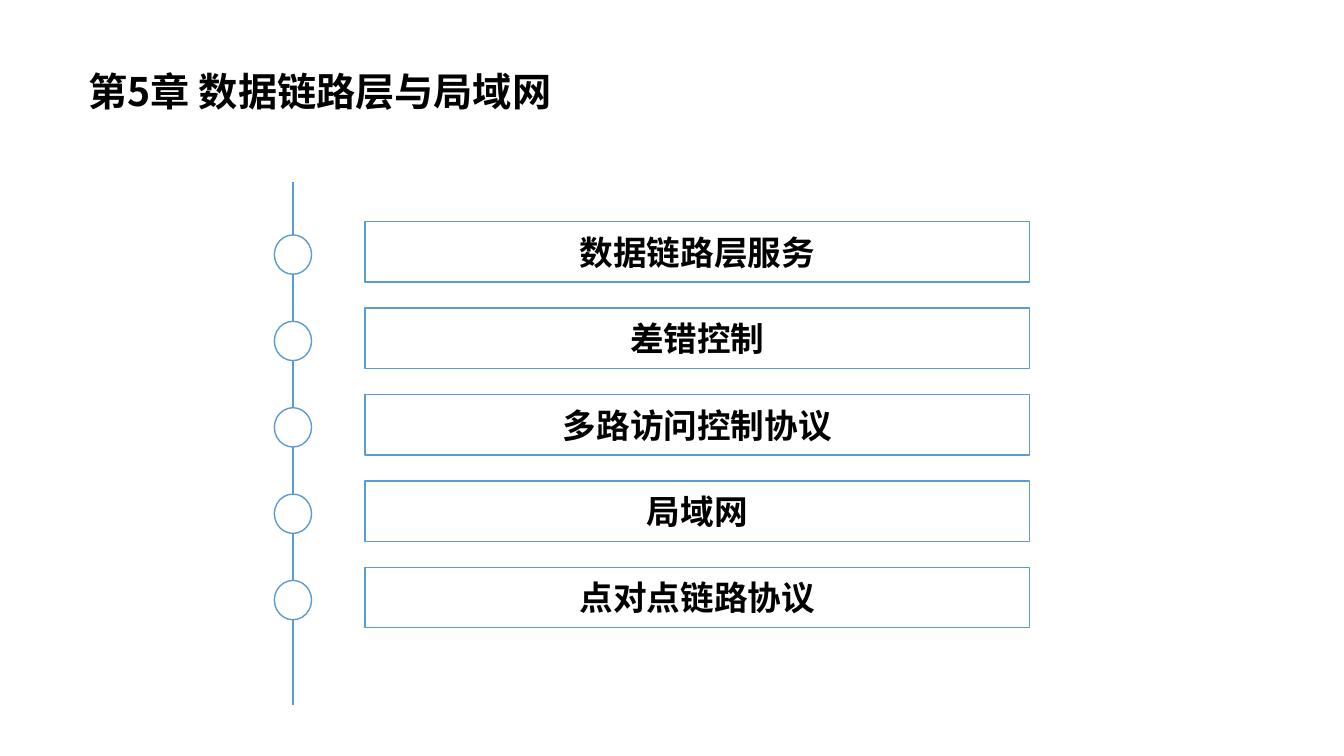
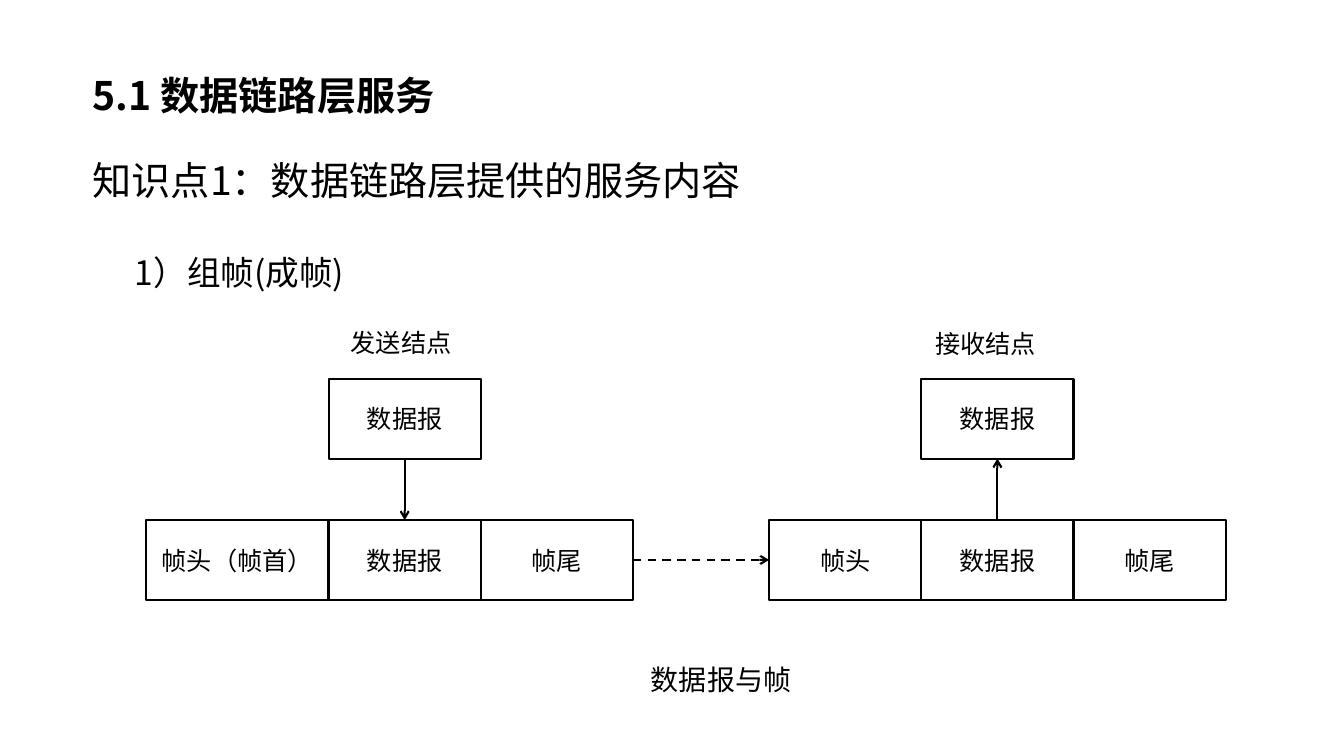
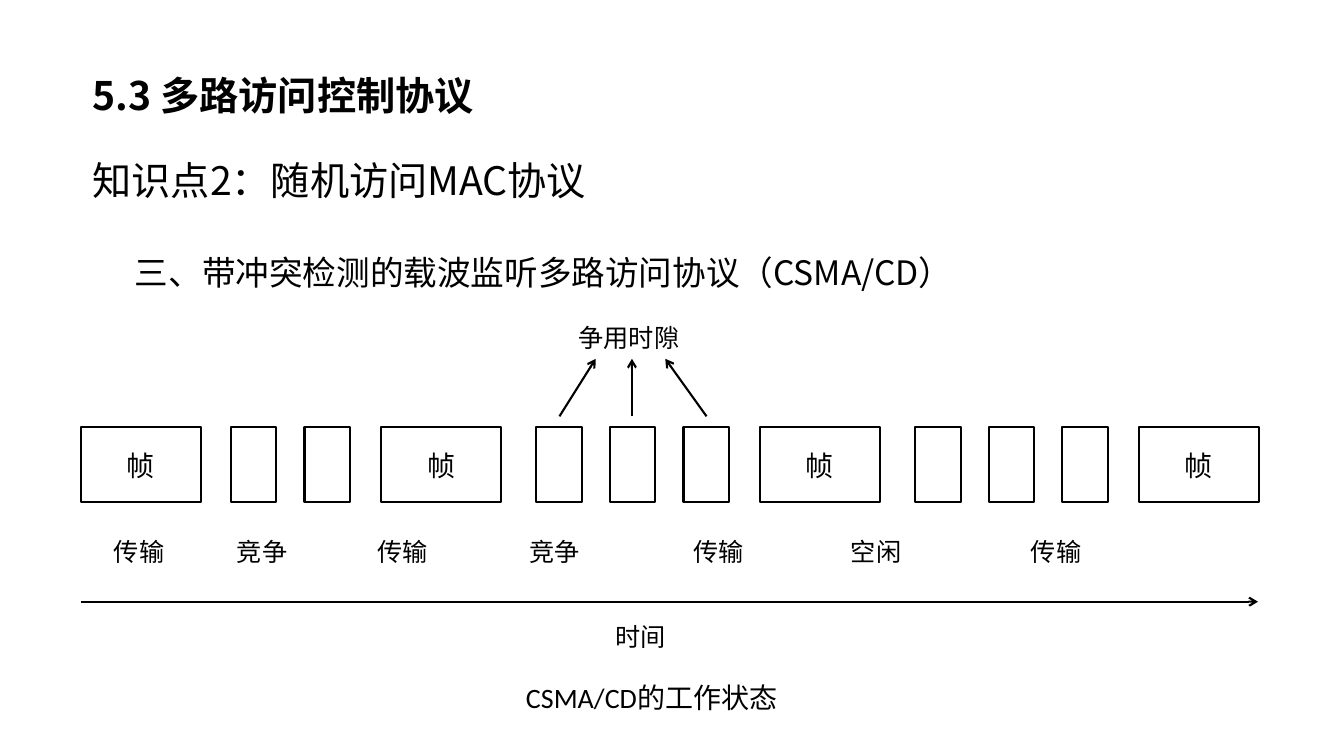
import pptx
import pptx.dml.color
import pptx.enum.dml
import pptx.enum.lang
import pptx.enum.shapes
import pptx.enum.text
import pptx.oxml.ns
import pptx.oxml.xmlchemy
import pptx.util

Pt = pptx.util.Pt
SHAPE = pptx.enum.shapes.MSO_SHAPE
ALIGN = pptx.enum.text.PP_ALIGN
ANCHOR = pptx.enum.text.MSO_ANCHOR

# Shared style
BLACK, WHITE, BLUE = "000000", "FFFFFF", "5B9BD5"
HEADING_FONT, DIAGRAM_FONT = "Noto Sans CJK SC", "Calibri"
INK = 1.5
WIDE_INSETS = (8.64, 4.32)

# Content
CHAPTER = "第5章 数据链路层与局域网"
TOPICS = ["数据链路层服务", "差错控制", "多路访问控制协议", "局域网", "点对点链路协议"]

FRAMING = ("5.1 数据链路层服务", "知识点1：数据链路层提供的服务内容", "1）组帧(成帧)")
DATAGRAM = "数据报"
# caption, caption left, caption top, frame left, header, header width, is sender
NODES = [
    ("发送结点", 243.4, 230.4, 104.4, "帧头（帧首）", 130.3, True),
    ("接收结点", 661, 231.1, 549.4, "帧头", 108.7, False),
]
TRAILER = "帧尾"
FRAMING_CAPTION = "数据报与帧"

RANDOM_ACCESS = ("5.3 多路访问控制协议", "知识点2：随机访问MAC协议",
                 "三、带冲突检测的载波监听多路访问协议（CSMA/CD）")
FRAME = "帧"
# frame left, contention slots before it
FRAMES = [(57.6, 0), (272.2, 2), (542.9, 3), (813.6, 3)]
# phase, distance from the first phase
PHASES = [("传输", 0), ("竞争", 88), ("传输", 188.5), ("竞争", 297),
          ("传输", 414), ("空闲", 526.5), ("传输", 655)]
SLOT_ARROWS = [(399.6, 425.5), (451.4, 451.4), (504.7, 475.2)]


def rgb(value):
    return pptx.dml.color.RGBColor.from_string(value)


def child(parent, tag, **attributes):
    element = pptx.oxml.xmlchemy.OxmlElement(tag)
    for key, value in attributes.items():
        element.set(key, str(value))
    parent.append(element)
    return element


def write(shape, text, size, font=DIAGRAM_FONT, bold=False, align=ALIGN.LEFT,
          anchor=ANCHOR.TOP, spacing=None, insets=(7.2, 3.6), tabs=()):
    frame = shape.text_frame
    frame.word_wrap = True
    frame.vertical_anchor = anchor
    frame.margin_left = frame.margin_right = Pt(insets[0])
    frame.margin_top = frame.margin_bottom = Pt(insets[1])
    paragraph = frame.paragraphs[0]
    paragraph.alignment = align
    if spacing:
        paragraph.line_spacing = spacing
    if tabs:
        stops = child(paragraph._p.get_or_add_pPr(), "a:tabLst")
        for stop in tabs:
            child(stops, "a:tab", pos=int(Pt(stop)), algn="l")
    run = paragraph.add_run()
    run.text = text
    run.font.size = Pt(size)
    run.font.bold = bold
    run.font.color.rgb = rgb(BLACK)
    run.font.name = font
    run.font.language_id = pptx.enum.lang.MSO_LANGUAGE_ID.SIMPLIFIED_CHINESE
    child(run._r.get_or_add_rPr(), "a:ea", typeface=HEADING_FONT)


def label(slide, x, y, w, h, text, size=18, **style):
    write(slide.shapes.add_textbox(Pt(x), Pt(y), Pt(w), Pt(h)), text, size, **style)


def box(slide, x, y, w, h, text="", size=18, kind=SHAPE.RECTANGLE,
        fill=None, line=BLACK, width=INK, align=ALIGN.CENTER, **style):
    shape = slide.shapes.add_shape(kind, Pt(x), Pt(y), Pt(w), Pt(h))
    shape.shadow.inherit = False
    if fill:
        shape.fill.solid()
        shape.fill.fore_color.rgb = rgb(fill)
    else:
        shape.fill.background()
    if line:
        shape.line.color.rgb = rgb(line)
        shape.line.width = Pt(width)
    else:
        shape.line.fill.background()
    if text:
        write(shape, text, size, align=align, anchor=ANCHOR.MIDDLE, **style)


def rule(slide, x1, y1, x2, y2, color=BLACK, width=INK, arrow=True, dashed=False):
    line = slide.shapes.add_connector(pptx.enum.shapes.MSO_CONNECTOR.STRAIGHT,
                                      Pt(x1), Pt(y1), Pt(x2), Pt(y2))
    line.line.color.rgb = rgb(color)
    line.line.width = Pt(width)
    if dashed:
        line.line.dash_style = pptx.enum.dml.MSO_LINE.DASH
    properties = line._element.spPr
    if arrow:
        child(properties.find(pptx.oxml.ns.qn("a:ln")), "a:tailEnd", type="arrow")
    child(properties, "a:effectLst")


def add_slide(deck):
    return deck.slides.add_slide(deck.slide_layouts[6])


def section_slide(deck, section, point, topic):
    slide = add_slide(deck)
    label(slide, 57.6, 46.8, 694.8, 42.5, section, 28, font=HEADING_FONT,
          bold=True, insets=WIDE_INSETS)
    label(slide, 57.6, 82.8, 875.5, 74.9, point, 28, font=HEADING_FONT,
          anchor=ANCHOR.MIDDLE, spacing=1.5, insets=WIDE_INSETS)
    label(slide, 89.3, 168.5, 787.7, 44.6, topic, 24, font=HEADING_FONT,
          spacing=Pt(37))
    return slide


def chapter_slide(deck):
    slide = add_slide(deck)
    box(slide, 53.3, 34.6, 568.8, 61.2, CHAPTER, 28, kind=SHAPE.ROUNDED_RECTANGLE,
        line=None, align=ALIGN.JUSTIFY, font=HEADING_FONT, bold=True)
    # Timeline with one stop per topic
    axis, first_top, pitch, height = 209.3, 158.4, 61.7, 43.2
    dot_w, dot_h = 26.6, 28.1
    outline = dict(fill=WHITE, line=BLUE, width=1)
    rule(slide, axis, 130.3, axis, 503.3, color=BLUE, width=1, arrow=False)
    for i, topic in enumerate(TOPICS):
        top = first_top + i * pitch
        box(slide, axis - dot_w / 2, top + 9.4, dot_w, dot_h,
            kind=SHAPE.OVAL, **outline)
        box(slide, 260.8, top, 474.5, height, topic, 24,
            font=HEADING_FONT, bold=True, **outline)


def framing_slide(deck):
    slide = section_slide(deck, *FRAMING)
    cell_w, cell_h, datagram_top, frame_top = 108.7, 56.9, 270.7, 371.5
    for caption, caption_x, caption_y, left, header, header_w, sender in NODES:
        label(slide, caption_x, caption_y, 161.3, 28.8, caption)
        datagram_x = left + header_w
        box(slide, datagram_x, datagram_top, cell_w, cell_h, DATAGRAM)
        # Frame: header, datagram, trailer
        box(slide, left, frame_top, header_w, cell_h, header)
        box(slide, datagram_x, frame_top, cell_w, cell_h, DATAGRAM)
        box(slide, datagram_x + cell_w, frame_top, cell_w, cell_h, TRAILER)
        ends = [datagram_top + cell_h, frame_top]
        start, end = ends if sender else reversed(ends)
        middle = datagram_x + cell_w / 2
        rule(slide, middle, start, middle, end)
    # Transmission between the two nodes
    wire_y = frame_top + cell_h / 2
    rule(slide, 452.2, wire_y, 549.4, wire_y, dashed=True)
    label(slide, 372.2, 469.4, 285.8, 31.7, FRAMING_CAPTION, 20, align=ALIGN.CENTER)


def csma_slide(deck):
    slide = section_slide(deck, *RANDOM_ACCESS)
    top, height, frame_w, slot_w, slot_pitch = 305.3, 53.6, 85.7, 32.6, 52.6
    for left, slots in FRAMES:
        box(slide, left, top, frame_w, height, FRAME, 20)
        for i in range(slots):
            box(slide, left - 54.7 - i * slot_pitch, top, slot_w, height)
    # Contention slots
    label(slide, 406.1, 226.8, 144, 28.8, "争用时隙")
    for start, end in SLOT_ARROWS:
        rule(slide, start, 297.4, end, 256.3)
    # Phases along the time axis
    label(slide, 74.2, 379.4, 824.4, 28.8, "\t".join(name for name, _ in PHASES),
          tabs=[distance for _, distance in PHASES[1:]])
    rule(slide, 57.6, 429.8, 898.6, 429.8)
    label(slide, 432.7, 440.6, 144, 28.8, "时间")
    label(slide, 368.6, 482.4, 267.1, 31.7, "CSMA/CD的工作状态", 20)


def main():
    deck = pptx.Presentation()
    deck.slide_width, deck.slide_height = Pt(960), Pt(540)
    chapter_slide(deck)
    framing_slide(deck)
    csma_slide(deck)
    deck.save("out.pptx")


if __name__ == "__main__":
    main()
